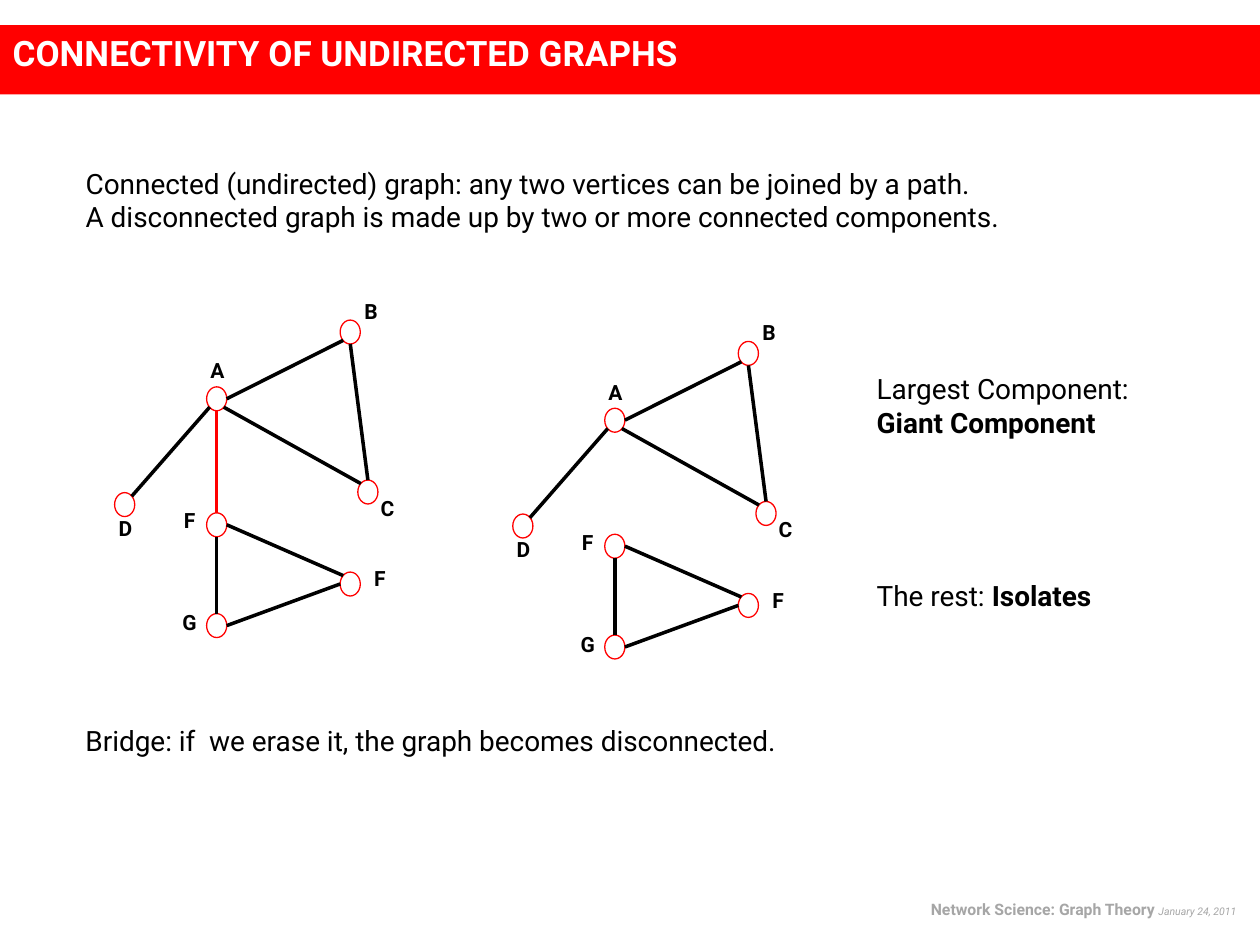
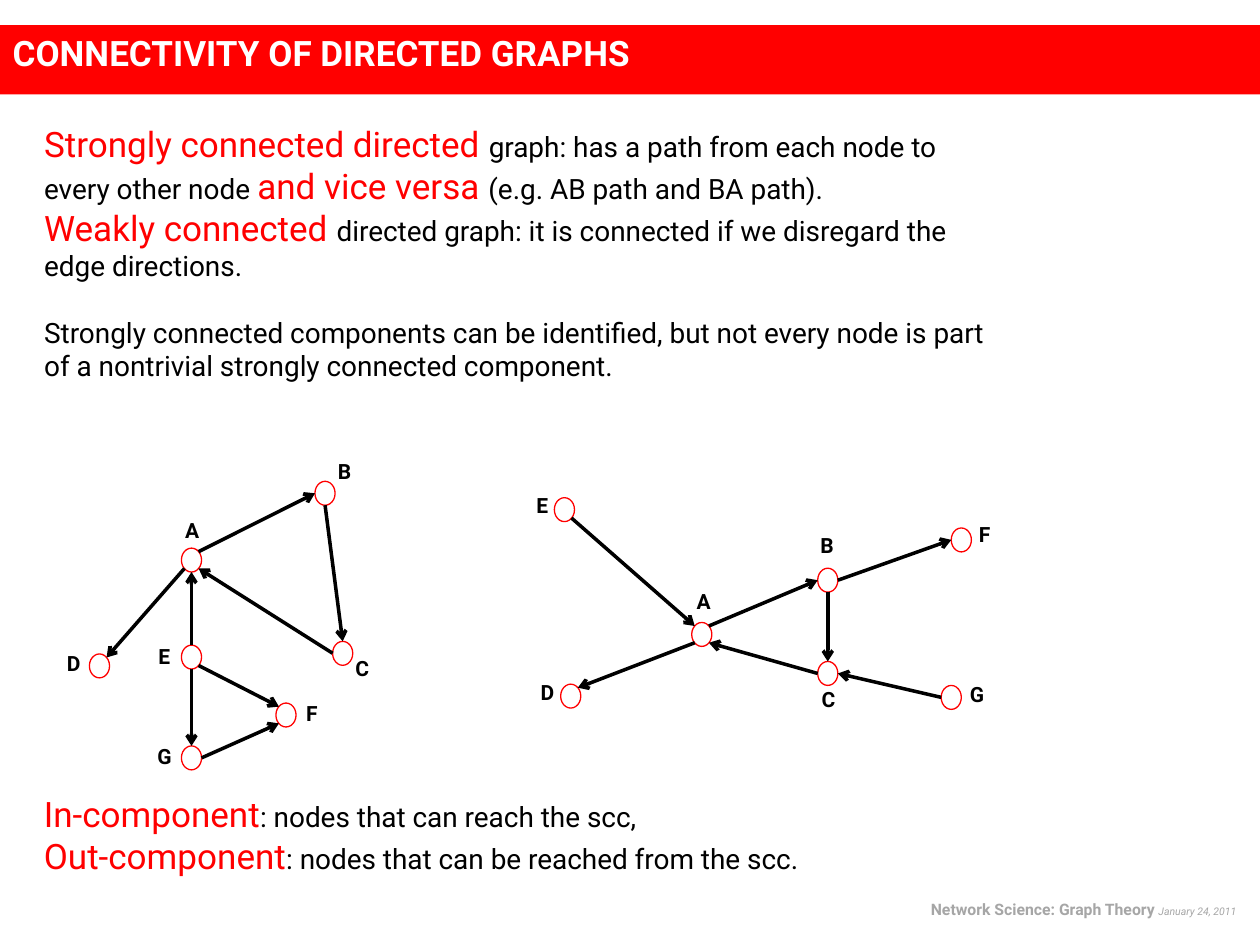
from dataclasses import dataclass

from lxml.etree import SubElement
from pptx import Presentation
from pptx.dml.color import RGBColor
from pptx.enum.shapes import MSO_CONNECTOR, MSO_SHAPE
from pptx.enum.text import MSO_ANCHOR, MSO_AUTO_SIZE, PP_ALIGN
from pptx.oxml.ns import qn
from pptx.util import Inches, Pt


@dataclass(frozen=True)
class Style:
    """Look of one run of text."""
    size: int
    color: RGBColor
    bold: bool = False
    italic: bool = False


@dataclass(frozen=True)
class Theme:
    """Colours, type styles and sizes shared by the slides."""
    font: str = "Roboto"
    red: RGBColor = RGBColor(0xFF, 0, 0)
    black: RGBColor = RGBColor(0, 0, 0)
    white: RGBColor = RGBColor(0xFF, 0xFF, 0xFF)
    gray: RGBColor = RGBColor(0xA6, 0xA6, 0xA6)
    title: Style = Style(20, white, bold=True)
    body: Style = Style(16, black)
    strong: Style = Style(16, black, bold=True)
    term: Style = Style(20, red)
    label: Style = Style(12, black, bold=True)
    footer: Style = Style(9, gray, bold=True)
    date: Style = Style(6, gray, italic=True)
    node_w: float = 0.16
    node_h: float = 0.19
    node_line: float = 0.75
    edge_line: float = 2


T = Theme()

PORTS = {
    "N": (0.5, 0), "NE": (0.85, 0.15), "E": (1, 0.5), "SE": (0.85, 0.85),
    "S": (0.5, 1), "SW": (0.15, 0.85), "W": (0, 0.5), "NW": (0.15, 0.15),
}

# Each node: left, top, label offset right, label offset down.
UNDIRECTED_NODES = {
    "A": (1.64, 3.07, -0.05, -0.23),
    "B": (2.7, 2.54, 0.11, -0.17),
    "C": (2.84, 3.81, 0.1, 0.12),
    "D": (0.91, 3.91, -0.05, 0.18),
    "F": (1.64, 4.07, -0.27, -0.04),
    "F2": (2.7, 4.54, 0.18, -0.05),
    "G": (1.64, 4.87, -0.27, -0.03),
}
UNDIRECTED_EDGES = [
    ("D", "NE", "A", "SW"), ("A", "E", "B", "SW"), ("C", "N", "B", "S"),
    ("A", "SE", "C", "NW"), ("F", "E", "F2", "NW"), ("G", "E", "F2", "W"),
    ("G", "N", "F", "S"),
]
BRIDGE = ("F", "N", "A", "S")

WEAK_NODES = {
    "A": (1.44, 4.35, -0.05, -0.24),
    "B": (2.5, 3.82, 0.1, -0.18),
    "C": (2.64, 5.09, 0.1, 0.11),
    "D": (0.71, 5.19, -0.26, -0.03),
    "E": (1.44, 5.12, -0.27, -0.01),
    "F": (2.19, 5.58, 0.15, -0.02),
    "G": (1.44, 5.92, -0.27, -0.02),
}
CYCLE_EDGES = [
    ("A", "SW", "D", "NE"), ("A", "NE", "B", "W"),
    ("B", "S", "C", "N"), ("C", "W", "A", "SE"),
]
WEAK_EDGES = CYCLE_EDGES + [
    ("G", "E", "F", "SW"), ("E", "SE", "F", "NW"),
    ("E", "S", "G", "N"), ("E", "N", "A", "S"),
]

SCC_NODES = {
    "A": (5.49, 4.94, -0.04, -0.27),
    "B": (6.49, 4.51, -0.06, -0.28),
    "C": (6.49, 5.25, -0.05, 0.2),
    "D": (4.45, 5.43, -0.24, -0.04),
    "E": (4.4, 3.95, -0.23, -0.04),
    "F": (7.55, 4.19, 0.13, -0.05),
    "G": (7.47, 5.44, 0.15, -0.03),
}
SCC_EDGES = CYCLE_EDGES + [
    ("E", "SE", "A", "NW"), ("G", "W", "C", "E"), ("B", "E", "F", "W"),
]


def place(sp, x, y, w, h):
    """Move and size a shape, in inches."""
    sp.left, sp.top, sp.width, sp.height = map(Inches, (x, y, w, h))


def write(tf, paragraphs, align=PP_ALIGN.LEFT):
    """Fill a text frame with paragraphs given as lists of (text, style)."""
    for i, runs in enumerate(paragraphs):
        p = tf.add_paragraph() if i else tf.paragraphs[0]
        p.alignment = align
        p.space_before = Pt(0)
        for text, style in runs:
            r = p.add_run()
            r.text = text
            f = r.font
            f.name, f.size = T.font, Pt(style.size)
            f.bold, f.italic = style.bold, style.italic
            f.color.rgb = style.color


def add_text(s, box, paragraphs, align=PP_ALIGN.LEFT, wrap=False, inset=None):
    """Add a text box."""
    tf = s.shapes.add_textbox(*map(Inches, box)).text_frame
    tf.word_wrap = wrap
    if inset is not None:
        tf.margin_left = tf.margin_right = Inches(inset)
        tf.margin_top = tf.margin_bottom = Inches(inset)
    write(tf, paragraphs, align)


def set_body(s, box, paragraphs):
    """Place the body placeholder and fill it with unbulleted text."""
    sp = s.placeholders[1]
    place(sp, *box)
    tf = sp.text_frame
    tf.word_wrap = False
    tf.auto_size = MSO_AUTO_SIZE.NONE
    write(tf, paragraphs)
    for p in tf.paragraphs:
        pPr = p._p.get_or_add_pPr()
        pPr.set("marL", "0")
        pPr.set("indent", "0")
        SubElement(pPr, qn("a:buNone"))
    return tf


def add_slide(prs, title):
    """Add a slide with the red title band and the footer."""
    s = prs.slides.add_slide(prs.slide_layouts[1])
    sp = s.shapes.title
    place(sp, 0, 0.2, 10, 0.55)
    sp.fill.solid()
    sp.fill.fore_color.rgb = T.red
    tf = sp.text_frame
    tf.vertical_anchor = MSO_ANCHOR.TOP
    tf.auto_size = MSO_AUTO_SIZE.NONE
    write(tf, [[(title, T.title)]])
    add_text(s, (7.08, 7.09, 2.83, 0.25),
             [[("Network Science: Graph Theory ", T.footer),
               ("January 24, 2011", T.date)]], PP_ALIGN.RIGHT, wrap=True)
    return s


def add_node(s, name, x, y, label_dx, label_dy):
    """Add a node circle and its letter."""
    sp = s.shapes.add_shape(MSO_SHAPE.OVAL, *map(
        Inches, (x, y, T.node_w, T.node_h)))
    sp.shadow.inherit = False
    sp.fill.background()
    sp.line.color.rgb = T.red
    sp.line.width = Pt(T.node_line)
    add_text(s, (x + label_dx, y + label_dy, 0.27, 0.2),
             [[(name[0], T.label)]], PP_ALIGN.CENTER, wrap=True, inset=0)


def port(node, side):
    """Return the point on a node's rim at a compass side."""
    fx, fy = PORTS[side]
    return Inches(node[0] + fx * T.node_w), Inches(node[1] + fy * T.node_h)


def add_edge(s, nodes, edge, color=T.black, directed=False):
    """Join two nodes with a line or an arrow."""
    start, start_side, end, end_side = edge
    c = s.shapes.add_connector(MSO_CONNECTOR.STRAIGHT,
                               *port(nodes[start], start_side),
                               *port(nodes[end], end_side))
    c.line.color.rgb = color
    c.line.width = Pt(T.edge_line)
    spPr = c.element.spPr
    if directed:
        SubElement(spPr.find(qn("a:ln")), qn("a:tailEnd"), type="arrow")
    SubElement(spPr, qn("a:effectLst"))


def add_graph(s, nodes, edges, directed=False):
    """Draw a whole graph."""
    for name, node in nodes.items():
        add_node(s, name, *node)
    for edge in edges:
        add_edge(s, nodes, edge, directed=directed)


def shifted(nodes, dx, dy):
    """Return the nodes moved by an offset."""
    return {name: (x + dx, y + dy, *label)
            for name, (x, y, *label) in nodes.items()}


def undirected_slide(prs):
    """Build the slide on undirected graphs."""
    s = add_slide(prs, "CONNECTIVITY OF UNDIRECTED GRAPHS")
    set_body(s, (0.58, 1.27, 7.51, 0.64), [
        [("Connected (undirected) graph: any two vertices can be joined "
          "by a path.", T.body)],
        [("A disconnected graph is made up by two or more connected "
          "components.", T.body)],
    ])
    add_text(s, (0.58, 5.69, 5.79, 0.37), [
        [("Bridge: if  we erase it, the graph becomes disconnected.", T.body)]])
    add_text(s, (6.86, 2.9, 2.24, 0.64), [
        [("Largest Component:", T.body)], [("Giant Component", T.strong)]])
    add_text(s, (6.86, 4.54, 1.99, 0.37), [
        [("The rest: ", T.body), ("Isolates", T.strong)]])
    add_graph(s, UNDIRECTED_NODES, UNDIRECTED_EDGES)
    add_edge(s, UNDIRECTED_NODES, BRIDGE, T.red)
    add_graph(s, shifted(UNDIRECTED_NODES, 3.16, 0.17), UNDIRECTED_EDGES)


def directed_slide(prs):
    """Build the slide on directed graphs."""
    s = add_slide(prs, "CONNECTIVITY OF DIRECTED GRAPHS")
    tf = set_body(s, (0.25, 0.92, 7.76, 2.19), [
        [("Strongly connected directed ", T.term),
         ("graph: has a path from each node to", T.body)],
        [("every other node ", T.body), ("and vice versa ", T.term),
         ("(e.g. AB path and BA path).", T.body)],
        [("Weakly connected ", T.term),
         ("directed graph: it is connected if we disregard the", T.body)],
        [("edge directions.", T.body)],
        [("Strongly connected components can be identified, but not every "
          "node is part", T.body)],
        [("of a nontrivial strongly connected component.", T.body)],
    ])
    tf.paragraphs[4].space_before = Pt(19)
    add_text(s, (0.25, 6.24, 8.33, 0.77), [
        [("In-component", T.term),
         (": nodes that can reach the scc,", T.body)],
        [("Out-component", T.term),
         (": nodes that can be reached from the scc.", T.body)],
    ], wrap=True)
    add_graph(s, WEAK_NODES, WEAK_EDGES, directed=True)
    add_graph(s, SCC_NODES, SCC_EDGES, directed=True)


def main():
    """Build and save the presentation."""
    prs = Presentation()
    prs.slide_width, prs.slide_height = Inches(10), Inches(7.5)
    undirected_slide(prs)
    directed_slide(prs)
    prs.save("out.pptx")


if __name__ == "__main__":
    main()
